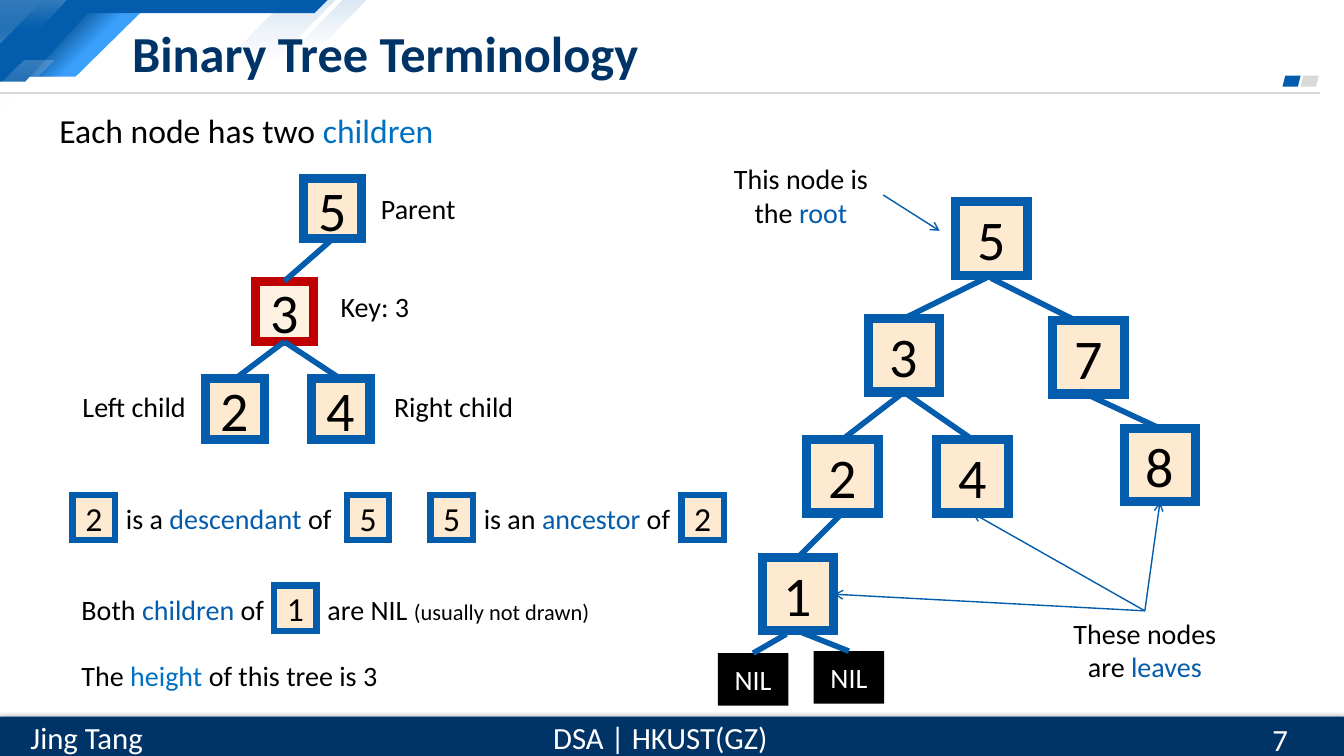
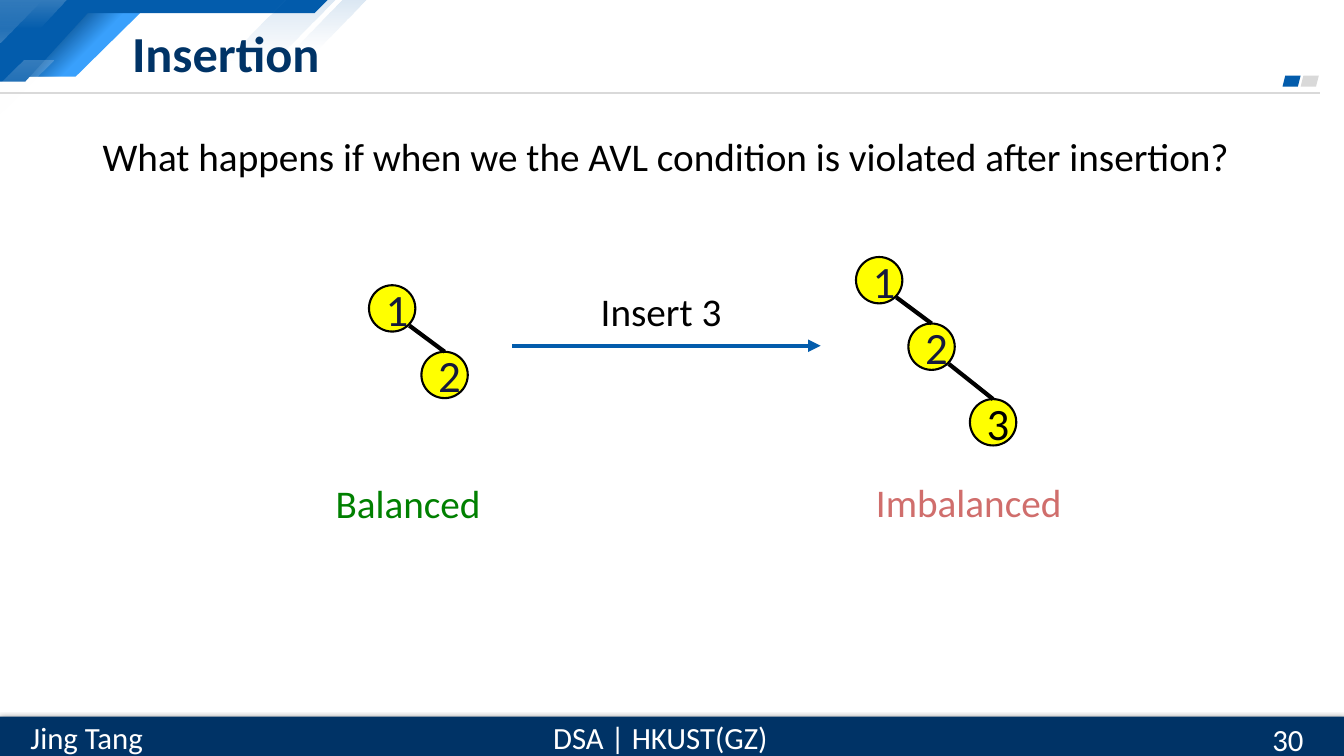
"""Build two lecture slides on binary trees and AVL insertion."""
from dataclasses import dataclass

from lxml import etree
from pptx import Presentation
from pptx.dml.color import RGBColor
from pptx.enum import shapes, text
from pptx.oxml import ns
from pptx.util import Inches, Pt


@dataclass(frozen=True)
class Theme:
    font: str = "Calibri"
    navy: str = "003366"
    blue: str = "035CAC"
    sky: str = "39A0FC"
    deep: str = "024581"
    accent: str = "0070C0"
    grey: str = "D9D9D9"
    white: str = "FFFFFF"
    black: str = "000000"
    ink: str = "15193C"
    cream: str = "FDEAD1"
    pale: str = "FEF2E2"
    red: str = "C00000"
    rose: str = "D06E6C"
    green: str = "008000"
    yellow: str = "FFFF00"
    title: int = 36
    key: int = 40
    circle: int = 32
    lead: int = 28
    intro: int = 24
    footer: int = 22
    label: int = 20
    aside: int = 16


T = Theme()
RGB = RGBColor.from_string
CENTER, LEFT = text.PP_ALIGN.CENTER, text.PP_ALIGN.LEFT
RECT, OVAL = shapes.MSO_SHAPE.RECTANGLE, shapes.MSO_SHAPE.OVAL
TOP, BOTTOM, RIGHT = 0, 2, 3


def add_box(slide, at, runs=(), size=T.label, color=T.black, align=LEFT,
            kind=None, fill=None, line=None, width=0):
    """Add a text box or preset shape; runs are (text, colour, size) tuples."""
    place = [Inches(v) for v in at]
    if kind is None:
        box = slide.shapes.add_textbox(*place)
    else:
        box = slide.shapes.add_shape(kind, *place)
        box.shadow.inherit = False
        box.fill.solid()
        box.fill.fore_color.rgb = RGB(fill)
        if line:
            box.line.color.rgb = RGB(line)
            box.line.width = Pt(width)
            outline = box.element.spPr.find(ns.qn("a:ln"))
            etree.SubElement(outline, ns.qn("a:miter"), lim="800000")
        else:
            box.line.fill.background()
    frame = box.text_frame
    frame.word_wrap = True
    frame.vertical_anchor = text.MSO_ANCHOR.MIDDLE
    paragraph = frame.paragraphs[0]
    paragraph.alignment = align
    paragraph.font.name = T.font
    paragraph.font.size = Pt(size)
    paragraph.font.color.rgb = RGB(color)
    for words, *style in [(runs,)] if isinstance(runs, str) else runs:
        run = paragraph.add_run()
        run.text = words
        if style:
            run.font.color.rgb = RGB(style[0])
        if len(style) > 1:
            run.font.size = Pt(style[1])
    return box


def add_link(slide, start, end, width, color=T.blue, arrow=None):
    """Draw a line between ends given as (x, y) or (shape, side)."""
    link = slide.shapes.add_connector(shapes.MSO_CONNECTOR.STRAIGHT, 0, 0, 0, 0)
    if isinstance(start[0], (int, float)):
        link.begin_x, link.begin_y = map(Inches, start)
    else:
        link.begin_connect(*start)
    if isinstance(end[0], (int, float)):
        link.end_x, link.end_y = map(Inches, end)
    else:
        link.end_connect(*end)
    link.line.color.rgb = RGB(color)
    link.line.width = Pt(width)
    if arrow:
        outline = link.element.spPr.find(ns.qn("a:ln"))
        etree.SubElement(outline, ns.qn("a:tailEnd"), type=arrow)
    etree.SubElement(link.element.spPr, ns.qn("a:effectLst"))


deck = Presentation()
deck.slide_width, deck.slide_height = Inches(13.33), Inches(7.5)
layout = deck.slide_layouts[5]
for unused in list(layout.placeholders)[1:]:
    unused.element.getparent().remove(unused.element)

terms, insertion = [deck.slides.add_slide(layout) for _ in range(2)]

slant = [(0.84, 0.07), (1.45, 0.07), (0.75, 0.76), (0.16, 0.76)]
glow = [(0, T.white, 20), (1, T.white, 0)]
haze = [(0, T.blue, 15), (1, T.blue, 0)]
banner = [
    (slant, T.sky, 0),
    (slant, [(0.29, T.deep, 100), (0.57, T.deep, 0)], 45),
    ([(0, 0), (3.25, 0), (3.12, 0.13), (0.87, 0.13), (0.25, 0.81), (0, 0.81)], T.blue, 0),
    (None, glow, 90),
    ([(0, 0), (0.66, 0), (0.39, 0.28), (0, 0.28)], glow, 90),
    ([(2.84, 0), (3.33, 0), (2.72, 0.61), (2.22, 0.61)], haze, 90),
    ([(3.4, 0), (3.64, 0), (3.15, 0.49), (2.91, 0.49)], haze, 90),
    ([(0.23, 0.6), (0.53, 0.6), (-0.07, 1.2), (-0.37, 1.2)], glow, 90),
]
for outline, paint, angle in banner:
    if outline:
        corners = [(Inches(x), Inches(y)) for x, y in outline]
        builder = terms.shapes.build_freeform(*corners[0], scale=1.0)
        builder.add_line_segments(corners[1:], close=True)
        piece = builder.convert_to_shape()
    else:
        piece = terms.shapes.add_shape(
            shapes.MSO_SHAPE.RIGHT_TRIANGLE, 0, 0, Inches(0.42), Inches(0.42))
        piece.element.spPr.find(ns.qn("a:xfrm")).set("flipV", "1")
    piece.shadow.inherit = False
    piece.line.fill.background()
    if isinstance(paint, str):
        piece.fill.solid()
        piece.fill.fore_color.rgb = RGB(paint)
        continue
    piece.fill.gradient()
    piece.fill.gradient_angle = 360 - angle
    for stop, (position, color, _) in zip(piece.fill.gradient_stops, paint):
        stop.position = position
        stop.color.rgb = RGB(color)
    tints = piece.element.spPr.iter(ns.qn("a:srgbClr"))
    for tint, (_, _, opacity) in zip(tints, paint):
        etree.SubElement(tint, ns.qn("a:alpha"), val=str(opacity * 1000))

add_link(terms, (0, 0.92), (13.09, 0.92), 1.5, T.grey)
for left, color in [(12.9, T.grey), (12.72, T.blue)]:
    add_box(terms, (left, 0.75, 0.18, 0.11), kind=shapes.MSO_SHAPE.PARALLELOGRAM, fill=color)
band = add_box(terms, (0, 7.11, 13.33, 0.39), kind=RECT, fill=T.navy)
shade = etree.SubElement(
    band.element.spPr.find(ns.qn("a:effectLst")), ns.qn("a:outerShdw"),
    blurRad=str(Pt(4.5)), dist=str(Pt(1.5)), dir="5400000", rotWithShape="0")
shade_color = etree.SubElement(shade, ns.qn("a:srgbClr"), val=T.black)
etree.SubElement(shade_color, ns.qn("a:alpha"), val="63000")
for left, width, words in [(5.36, 2.38, "DSA | HKUST(GZ)"), (0.16, 1.4, "Jing Tang")]:
    add_box(terms, (left, 7.08, width, 0.47), words, T.footer, T.white, CENTER)
for shared in list(terms.shapes)[1:]:
    layout.shapes.element.append(shared.element)

for slide, heading, number in [(terms, "Binary Tree Terminology", "7"),
                               (insertion, "Insertion", "30")]:
    title = slide.shapes.title
    title.left, title.top, title.width, title.height = map(Inches, (1.21, 0.17, 10.21, 0.69))
    title.text_frame.text = heading
    title.text_frame.vertical_anchor = text.MSO_ANCHOR.MIDDLE
    paragraph = title.text_frame.paragraphs[0]
    paragraph.alignment = LEFT
    paragraph.font.name, paragraph.font.size = T.font, Pt(T.title)
    paragraph.font.bold = True
    paragraph.font.color.rgb = RGB(T.navy)
    add_box(slide, (12.52, 7.13, 0.81, 0.4), number, T.footer, T.white)

add_box(terms, (0.49, 1.04, 3.95, 0.5),
        [("Each node has two ",), ("children", T.accent)], T.intro)

tree = {}
for key, left, top in [("4", 9.29, 4.36), ("2", 8, 4.36), ("8", 11.15, 4.25), ("7", 10.44, 3.18),
                       ("1", 7.56, 5.53), ("3", 8.61, 3.16), ("5", 9.48, 2)]:
    tree[key] = add_box(terms, (left, top, 0.71, 0.73), key, T.key, align=CENTER,
                        kind=RECT, fill=T.cream, line=T.blue, width=6.5)
nil_right, nil_left = [
    add_box(terms, (left, top, 0.7, 0.52), "NIL", color=T.white, align=CENTER,
            kind=RECT, fill=T.black)
    for left, top in [(8.07, 6.46), (7.12, 6.48)]]
for start, end in [
    ((9.83, 2.76), (10.63, 3.16)),
    ((10.71, 3.88), (tree["8"], TOP)),
    ((tree["3"], BOTTOM), (tree["4"], TOP)),
    ((tree["5"], BOTTOM), (tree["3"], TOP)),
    ((tree["3"], BOTTOM), (tree["2"], TOP)),
    ((tree["2"], BOTTOM), (tree["1"], TOP)),
    ((7.8, 6.29), (nil_left, TOP)),
    ((tree["1"], BOTTOM), (nil_right, TOP)),
]:
    add_link(terms, start, end, 4)

root_note = add_box(terms, (7.13, 1.55, 1.63, 0.77),
                    [("This node is the ",), ("root", T.blue)], align=CENTER)
add_link(terms, (root_note, RIGHT), (9.32, 2.29), 1, arrow="arrow")
leaves_note = add_box(terms, (10.47, 6.06, 1.77, 0.77),
                      [("These nodes are ",), ("leaves", T.blue)], align=CENTER)
for leaf, side in [("1", RIGHT), ("4", BOTTOM), ("8", BOTTOM)]:
    add_link(terms, (leaves_note, TOP), (tree[leaf], side), 1, arrow="arrow")

family = {}
for key, left, top, fill, line in [("4", 3.09, 3.76, T.cream, T.blue),
                                   ("2", 2.04, 3.76, T.cream, T.blue),
                                   ("3", 2.53, 2.79, T.pale, T.red),
                                   ("5", 3.01, 1.77, T.cream, T.blue)]:
    family[key] = add_box(terms, (left, top, 0.58, 0.6), key, T.key, align=CENTER,
                          kind=RECT, fill=fill, line=line, width=6.5)
for parent, child in ["32", "34", "53"]:
    add_link(terms, (family[parent], BOTTOM), (family[child], TOP), 4)

for left, top, width, runs in [
    (0.72, 3.81, 1.24, "Left child"),
    (3.81, 3.81, 1.4, "Right child"),
    (3.68, 1.85, 1, "Parent"),
    (3.28, 2.82, 0.95, "Key: 3"),
    (1.15, 4.92, 2.29, [("is a ",), ("descendant", T.blue), (" of",)]),
    (4.7, 4.92, 2.06, [("is an ",), ("ancestor", T.blue), (" of",)]),
    (0.71, 5.82, 2.01, [("Both ",), ("children ", T.blue), ("of",)]),
    (3.15, 5.82, 2.84, [("are NIL ",), ("(usually not drawn)", T.black, T.aside)]),
    (0.71, 6.48, 3.17, [("The ",), ("height", T.accent), (" of this tree is 3",)]),
]:
    add_box(terms, (left, top, width, 0.44), runs)
for key, left, top in [("2", 0.72, 4.91), ("5", 3.44, 4.91), ("5", 4.27, 4.91),
                       ("2", 6.76, 4.91), ("1", 2.72, 5.81)]:
    add_box(terms, (left, top, 0.42, 0.45), key, T.intro, align=CENTER,
            kind=RECT, fill=T.cream, line=T.blue, width=4.5)

question = add_box(insertion, (0.92, 1.31, 11.5, 0.53),
                   "What happens if when we the AVL condition is violated after insertion?", T.lead)
question.text_frame.paragraphs[0].line_spacing = 0.9

for chain in [
    [("1", 3.66, 2.83, T.ink), ("2", 4.18, 3.49, T.ink)],
    [("1", 8.49, 2.55, T.ink), ("2", 9.01, 3.21, T.ink), ("3", 9.62, 3.96, T.black)],
]:
    parent_end = None
    for key, left, top, color in chain:
        node = add_box(insertion, (left, top, 0.46, 0.46), key, T.circle, color, CENTER,
                       OVAL, T.yellow, T.black, 1.5)
        if parent_end:
            add_link(insertion, parent_end, (node, TOP), 3, T.black)
        parent_end = (left + 0.4, top + 0.4)

add_link(insertion, (5.08, 3.43), (8.14, 3.43), 3, arrow="triangle")
for left, top, width, words, color in [(5.86, 2.8, 1.41, "Insert 3", T.black),
                                       (3.23, 4.7, 1.66, "Balanced", T.green),
                                       (8.59, 4.69, 2.06, "Imbalanced", T.rose)]:
    add_box(insertion, (left, top, width, 0.57), words, T.lead, color)

deck.save("out.pptx")
